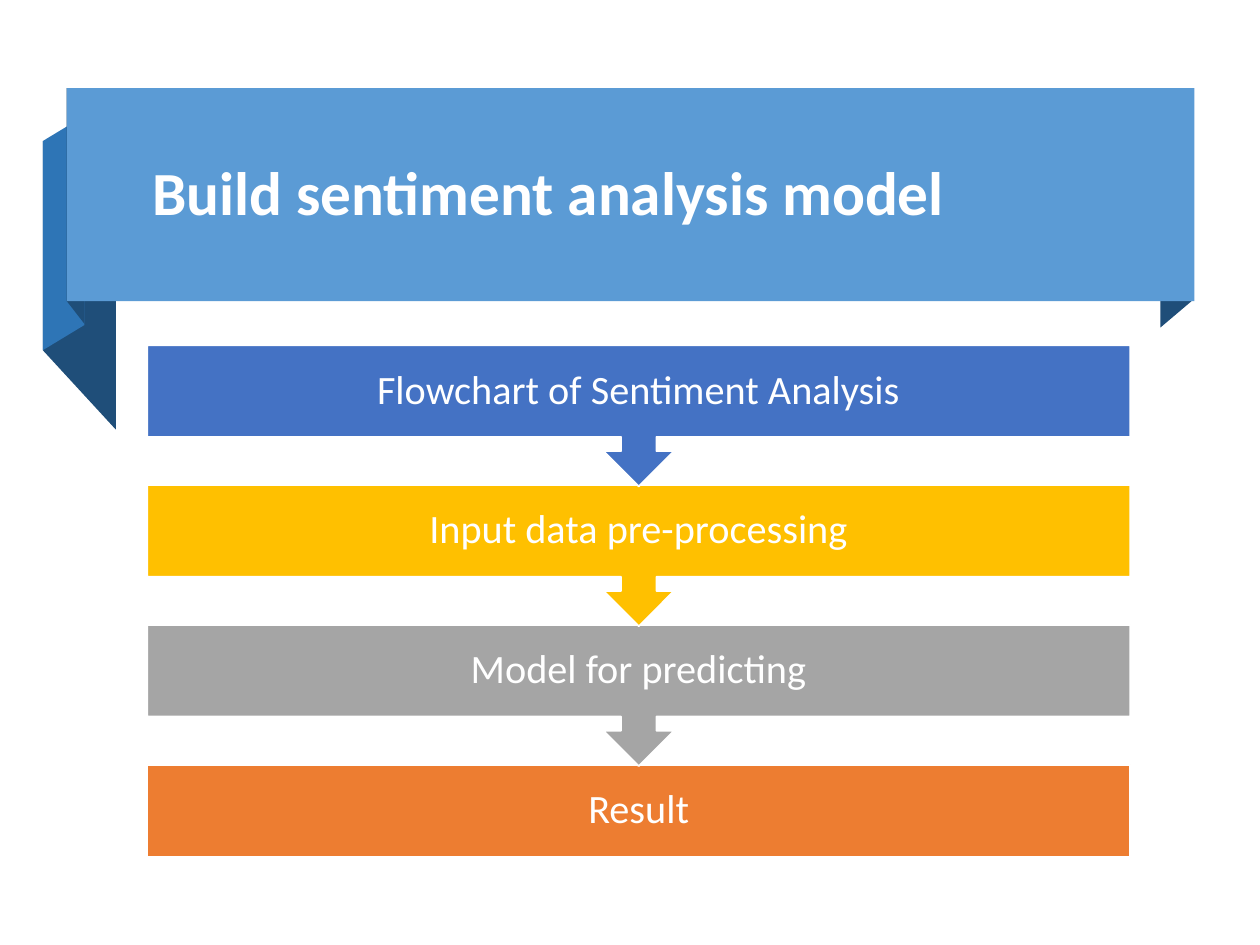
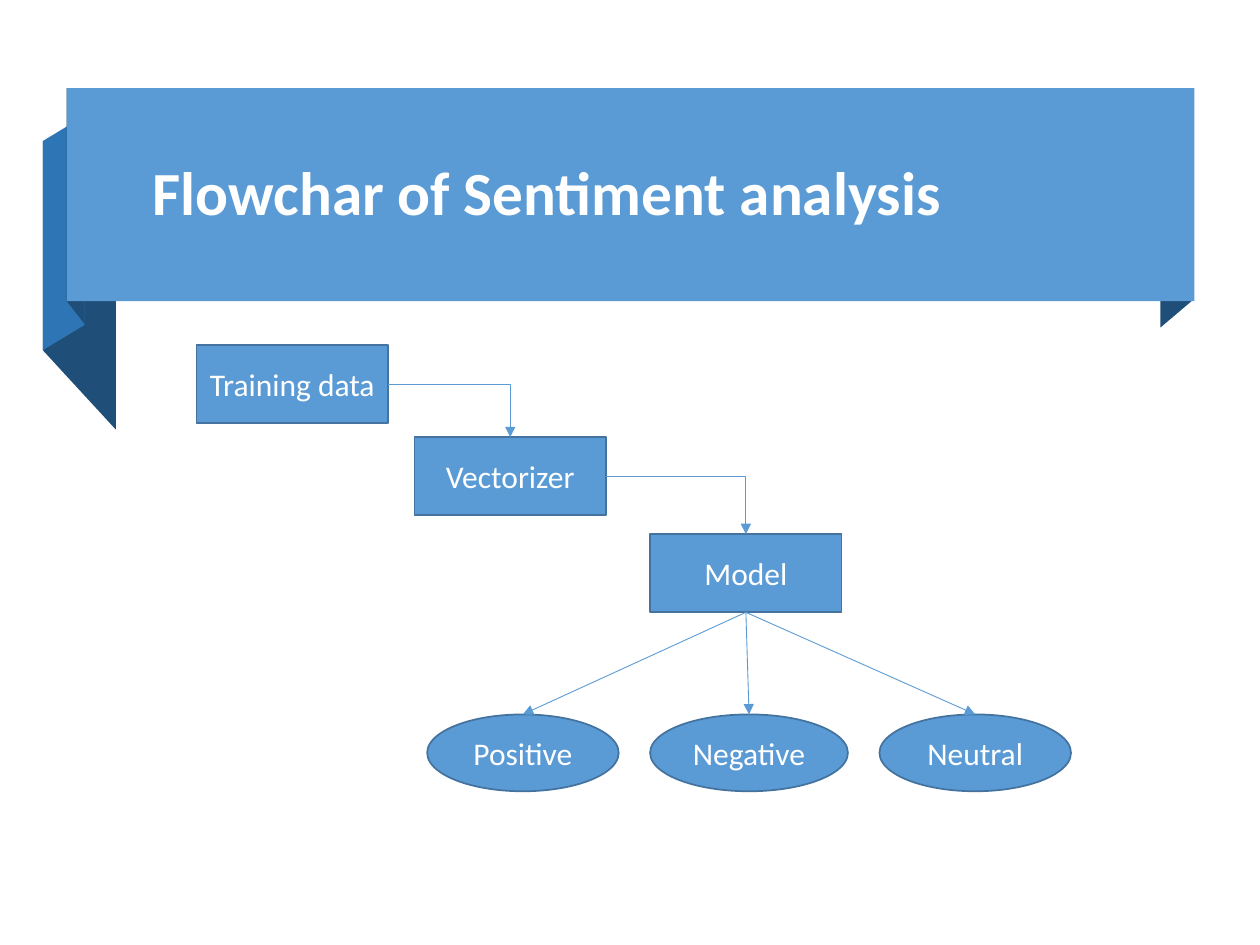
import pptx
import pptx.util
import pptx.dml.color
import pptx.enum.shapes
import pptx.enum.text
import pptx.oxml.ns
from lxml import etree

Inches = pptx.util.Inches
Pt = pptx.util.Pt
SHAPE = pptx.enum.shapes.MSO_SHAPE
CONNECTOR = pptx.enum.shapes.MSO_CONNECTOR
ALIGN = pptx.enum.text.PP_ALIGN
qn = pptx.oxml.ns.qn

FONT = "Calibri"
WHITE, BLUE, MID_BLUE, DARK_BLUE, OUTLINE = "FFFFFF", "5B9BD5", "2E75B6", "1F4E79", "43739E"

RIBBON_FOLDS = [
    (DARK_BLUE, [(9.47, 2.38), (9.21, 2.6), (9.21, 0.91), (9.47, 0.7)]),
    (DARK_BLUE, [(0.92, 3.41), (0.34, 2.78), (0.34, 1.12), (0.92, 1.75)]),
    (MID_BLUE, [(0.67, 2.58), (0.34, 2.78), (0.34, 1.12), (0.67, 0.92)]),
    (DARK_BLUE, [(0.67, 2.57), (0.53, 2.39), (0.53, 0.7), (0.67, 0.89)]),
]
RIBBON_FRONT = (0.53, 0.7, 8.95, 1.69)
TITLE_BOX = (1.11, 0.83, 8.2, 1.45)

STEPS_TITLE = "Build sentiment analysis model"
STEPS = [
    ("Flowchart of Sentiment Analysis", "4472C4"),
    ("Input data pre-processing", "FFC000"),
    ("Model for predicting", "A5A5A5"),
    ("Result", "ED7D31"),
]
STEP_LEFT, STEP_TOP, STEP_WIDTH = 1.17, 2.74, 7.8
STEP_PITCH, BAR_HEIGHT, CALLOUT_HEIGHT = 1.11, 0.73, 1.12

FLOW_TITLE = "Flowchar of Sentiment analysis"
STAGES = [("Training data", 1.56, 2.74), ("Vectorizer", 3.29, 3.47), ("Model", 5.16, 4.24)]
STAGE_SIZE = (1.52, 0.62)
OUTCOMES = [("Positive", 3.39, 1.52), ("Negative", 5.16, 1.57), ("Neutral", 6.98, 1.52)]
OUTCOME_TOP, OUTCOME_HEIGHT = 5.67, 0.61


def rgb(color):
    return pptx.dml.color.RGBColor.from_string(color)


def paint(sp, fill, line=None):
    sp.shadow.inherit = False
    sp.fill.solid()
    sp.fill.fore_color.rgb = rgb(fill)
    if line:
        sp.line.color.rgb = rgb(line)
        sp.line.width = Pt(1)
    else:
        sp.line.fill.background()


def write(sp, text, size, align, spacing=1.0, bold=False):
    tf = sp.text_frame
    tf.text = text
    tf.word_wrap = True
    tf.auto_size = pptx.enum.text.MSO_AUTO_SIZE.NONE
    tf.vertical_anchor = pptx.enum.text.MSO_ANCHOR.MIDDLE
    p = tf.paragraphs[0]
    p.alignment = align
    p.line_spacing = spacing
    p.font.name, p.font.size, p.font.bold = FONT, Pt(size), bold
    p.font.color.rgb = rgb(WHITE)


def add_box(s, kind, box, fill, line=None):
    sp = s.shapes.add_shape(kind, *map(Inches, box))
    paint(sp, fill, line)
    return sp


def add_titled_slide(prs, text):
    s = prs.slides.add_slide(prs.slide_layouts[5])
    for fill, points in RIBBON_FOLDS:
        start, *rest = [(Inches(x), Inches(y)) for x, y in points]
        builder = s.shapes.build_freeform(*start)
        builder.add_line_segments(rest, close=True)
        paint(builder.convert_to_shape(), fill)
    add_box(s, SHAPE.RECTANGLE, RIBBON_FRONT, BLUE)
    title = s.shapes.title
    title.left, title.top, title.width, title.height = map(Inches, TITLE_BOX)
    write(title, text, 35, ALIGN.LEFT, spacing=0.9, bold=True)
    title.element.getparent().append(title.element)
    return s


def add_step(s, index, text, fill):
    last = index == len(STEPS) - 1
    kind = SHAPE.RECTANGLE if last else SHAPE.DOWN_ARROW_CALLOUT
    height = BAR_HEIGHT if last else CALLOUT_HEIGHT
    top = STEP_TOP + index * STEP_PITCH
    sp = add_box(s, kind, (STEP_LEFT, top, STEP_WIDTH, height), fill, WHITE)
    write(sp, text, 23, ALIGN.CENTER, spacing=0.9)
    tf = sp.text_frame
    tf.margin_left = tf.margin_top = tf.margin_right = tf.margin_bottom = Inches(0.18)


def add_node(s, kind, text, box):
    sp = add_box(s, kind, box, BLUE, OUTLINE)
    write(sp, text, 18, ALIGN.CENTER)
    return sp


def add_arrow(s, source, side, target, kind=CONNECTOR.STRAIGHT):
    c = s.shapes.add_connector(kind, 0, 0, 0, 0)
    c.begin_connect(source, side)
    c.end_connect(target, 0)
    c.line.color.rgb = rgb(BLUE)
    c.line.width = Pt(0.5)
    properties = c.element.spPr
    if kind == CONNECTOR.ELBOW:
        properties.find(qn("a:prstGeom")).set("prst", "bentConnector2")
    etree.SubElement(properties.find(qn("a:ln")), qn("a:tailEnd"), type="triangle")
    etree.SubElement(properties, qn("a:effectLst"))


def build_steps(prs):
    s = add_titled_slide(prs, STEPS_TITLE)
    for index, (text, fill) in reversed(list(enumerate(STEPS))):
        add_step(s, index, text, fill)


def build_flowchart(prs):
    s = add_titled_slide(prs, FLOW_TITLE)
    stages = [add_node(s, SHAPE.RECTANGLE, text, (x, y, *STAGE_SIZE)) for text, x, y in STAGES]
    outcomes = [
        add_node(s, SHAPE.OVAL, text, (x, OUTCOME_TOP, width, OUTCOME_HEIGHT))
        for text, x, width in OUTCOMES
    ]
    for source, target in zip(stages, stages[1:]):
        add_arrow(s, source, 3, target, CONNECTOR.ELBOW)
    for outcome in outcomes:
        add_arrow(s, stages[-1], 2, outcome)


def main():
    prs = pptx.Presentation()
    prs.slide_width, prs.slide_height = Inches(10), Inches(7.5)
    build_steps(prs)
    build_flowchart(prs)
    prs.save("out.pptx")


if __name__ == "__main__":
    main()
